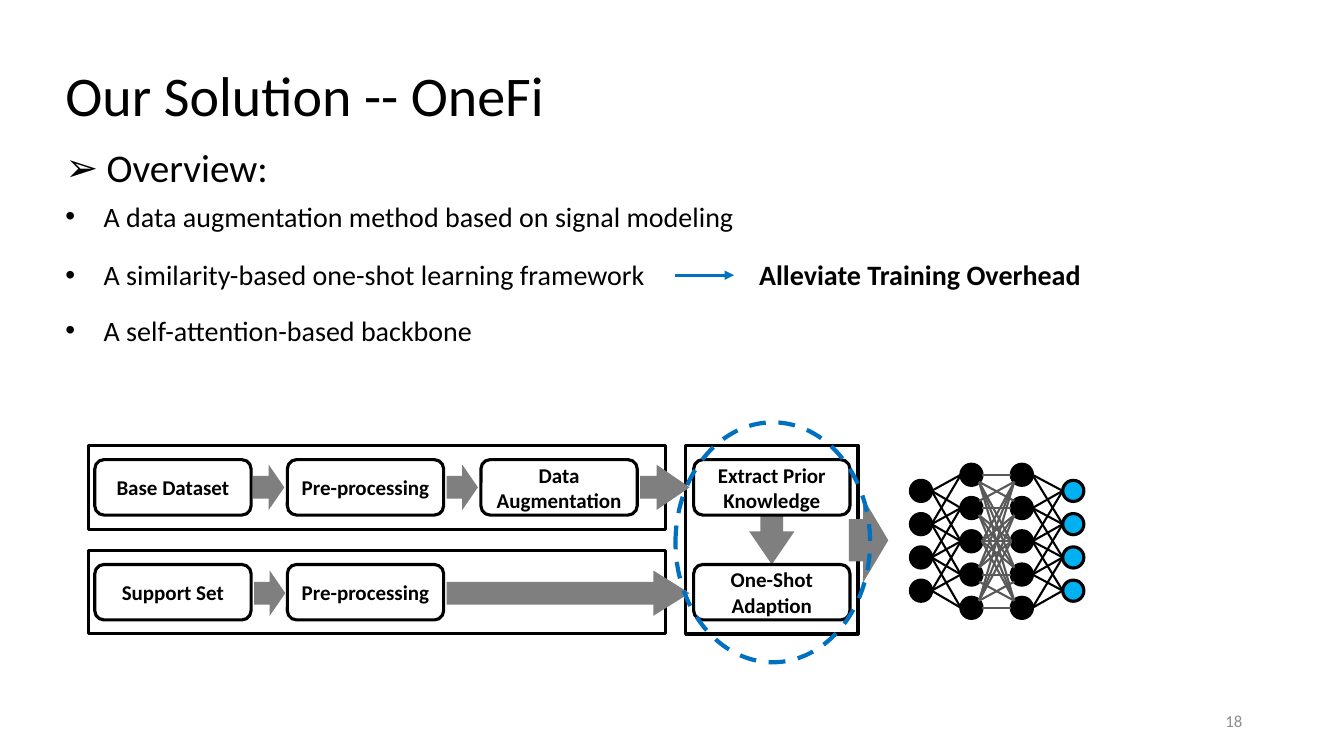
import pptx
import pptx.dml.color
import pptx.enum.dml
import pptx.enum.shapes
import pptx.enum.text
import pptx.oxml
import pptx.oxml.ns
import pptx.util

Inches = pptx.util.Inches
Pt = pptx.util.Pt
Kind = pptx.enum.shapes.MSO_SHAPE
Align = pptx.enum.text.PP_ALIGN
Anchor = pptx.enum.text.MSO_ANCHOR
BLACK, GREY, BLUE = "000000", "7F7F7F", "0070C0"


def color(code):
    return pptx.dml.color.RGBColor.from_string(code)


def add_tag(parent, tag, **attrs):
    node = pptx.oxml.parse_xml(f"<a:{tag} {pptx.oxml.ns.nsdecls('a')}/>")
    for key, value in attrs.items():
        node.set(key, value)
    parent.append(node)


class Board:
    font = "Calibri"

    def __init__(self, slide):
        self.shapes = slide.shapes

    def group(self):
        self.shapes = self.shapes.add_group_shape().shapes

    def label(self, shape, text, size, ink=BLACK, bold=False, align=Align.LEFT,
              anchor=Anchor.TOP, space=None, bullet=None, indent=0):
        frame = shape.text_frame
        frame.word_wrap = True
        frame.vertical_anchor = anchor
        para = frame.paragraphs[0]
        para.text = text
        para.alignment = align
        if space:
            para.line_spacing = space
        if bullet:
            props = para._p.get_or_add_pPr()
            props.set("marL", str(Inches(indent)))
            props.set("indent", str(-Inches(indent)))
            add_tag(props, "buFont", typeface="Arial")
            add_tag(props, "buChar", char=bullet)
        para.font.name = self.font
        para.font.size = Pt(size)
        para.font.bold = bold
        para.font.color.rgb = color(ink)

    def text(self, place, text, size, **style):
        box = self.shapes.add_textbox(*map(Inches, place))
        self.label(box, text, size, **style)

    def shape(self, kind, place, fill=None, line=None, width=2.25):
        item = self.shapes.add_shape(kind, *map(Inches, place))
        item.shadow.inherit = False
        if fill:
            item.fill.solid()
            item.fill.fore_color.rgb = color(fill)
        else:
            item.fill.background()
        if line:
            item.line.color.rgb = color(line)
            item.line.width = Pt(width)
        else:
            item.line.fill.background()
        return item

    def step(self, left, top, name):
        box = self.shape(Kind.ROUNDED_RECTANGLE, (left, top, 1.55, 0.55), "FFFFFF", BLACK)
        self.label(box, name, 15, bold=True, align=Align.CENTER, anchor=Anchor.MIDDLE)

    def arrow(self, place, head=0.5, turn=0):
        item = self.shape(Kind.RIGHT_ARROW, place, GREY)
        item.adjustments[1] = head
        item.rotation = turn

    def line(self, start, end, ink=BLACK, width=1.5, head=False):
        item = self.shapes.add_connector(
            pptx.enum.shapes.MSO_CONNECTOR.STRAIGHT, *map(Inches, (*start, *end)))
        item.line.color.rgb = color(ink)
        item.line.width = Pt(width)
        if head:
            add_tag(item.line._get_or_add_ln(), "tailEnd", type="triangle")
        add_tag(item._element.spPr, "effectLst")


def draw_text(board):
    board.text((0.55, 0.34, 11.87, 1.28), "Our Solution -- OneFi", 40,
               anchor=Anchor.MIDDLE, space=0.9)
    board.text((0.55, 1.43, 6.12, 0.64), "Overview:", 28, space=0.9, bullet="➢", indent=0.41)
    points = (
        (1.93, "A data augmentation method based on signal modeling"),
        (2.51, "A similarity-based one-shot learning framework"),
        (3.06, "A self-attention-based backbone"),
    )
    for top, point in points:
        board.text((0.55, top, 6.85, 0.44), point, 20, bullet="•", indent=0.38)
    board.text((7.43, 2.51, 5.31, 0.44), "Alleviate Training Overhead", 20, bold=True)
    board.line((6.69, 2.73), (7.28, 2.73), BLUE, 2.25, head=True)
    board.text((9.42, 6.95, 3, 0.4), "18", 12, ink="8C8C8C", align=Align.RIGHT,
               anchor=Anchor.MIDDLE)


def draw_flow(board):
    board.arrow((7.41, 5.13, 0.49, 0.45), 0.73, 90)
    lefts = (0.94, 2.85, 4.77, 6.88)
    rows = (
        (4.56, ("Base Dataset", "Pre-processing", "Data Augmentation", "Extract Prior Knowledge")),
        (5.6, ("Support Set", "Pre-processing", None, "One-Shot Adaption")),
    )
    for top, names in rows:
        for left, name in zip(lefts, names):
            if name:
                board.step(left, top, name)
    for left, top in ((2.51, 4.61), (4.43, 4.61), (2.52, 5.66)):
        board.arrow((left, top, 0.31, 0.45))
    for place in ((0.88, 4.42, 5.72, 0.83), (0.88, 5.46, 5.72, 0.83), (6.8, 4.42, 1.71, 1.87)):
        board.shape(Kind.RECTANGLE, place, line=BLACK)
    board.arrow((8.42, 4.94, 0.39, 0.84), 0.64)
    board.arrow((6.35, 4.61, 0.49, 0.45), 0.73)
    board.arrow((4.43, 5.66, 2.41, 0.45), 0.8)
    ring = board.shape(Kind.OVAL, (6.7, 4.19, 1.93, 2.38), line=BLUE, width=3)
    ring.line.dash_style = pptx.enum.dml.MSO_LINE.DASH


def draw_net(board):
    board.group()
    size, gap = 0.21, 0.33
    inner = [4.71 + gap * row for row in range(5)]
    outer = [4.87 + gap * row for row in range(4)]
    layers = ((9.53, inner, BLACK), (10.03, inner, BLACK),
              (9.03, outer, BLACK), (10.54, outer, "00B0F0"))
    for left, mids, fill in layers:
        for mid in mids:
            board.shape(Kind.OVAL, (left, mid - size / 2, size, size), fill, BLACK)

    for near, far in ((9.53, 9.24), (10.24, 10.54)):
        for row, mid in enumerate(outer):
            for other in inner[max(row - 1, 0):row + 3]:
                board.line((near, other), (far, mid))

    def rim(side, row, other, inward):
        if row in (2, other):
            return side, inner[row]
        return side - inward * 0.03, inner[row] + (0.07 if other > row else -0.07)

    for row in range(5):
        for other in range(5):
            board.line(rim(9.74, row, other, 1), rim(10.03, other, row, -1), "595959")


def main():
    deck = pptx.Presentation()
    deck.slide_width, deck.slide_height = Inches(13.33), Inches(7.5)
    board = Board(deck.slides.add_slide(deck.slide_layouts[6]))
    draw_text(board)
    draw_flow(board)
    draw_net(board)
    deck.save("out.pptx")


if __name__ == "__main__":
    main()
